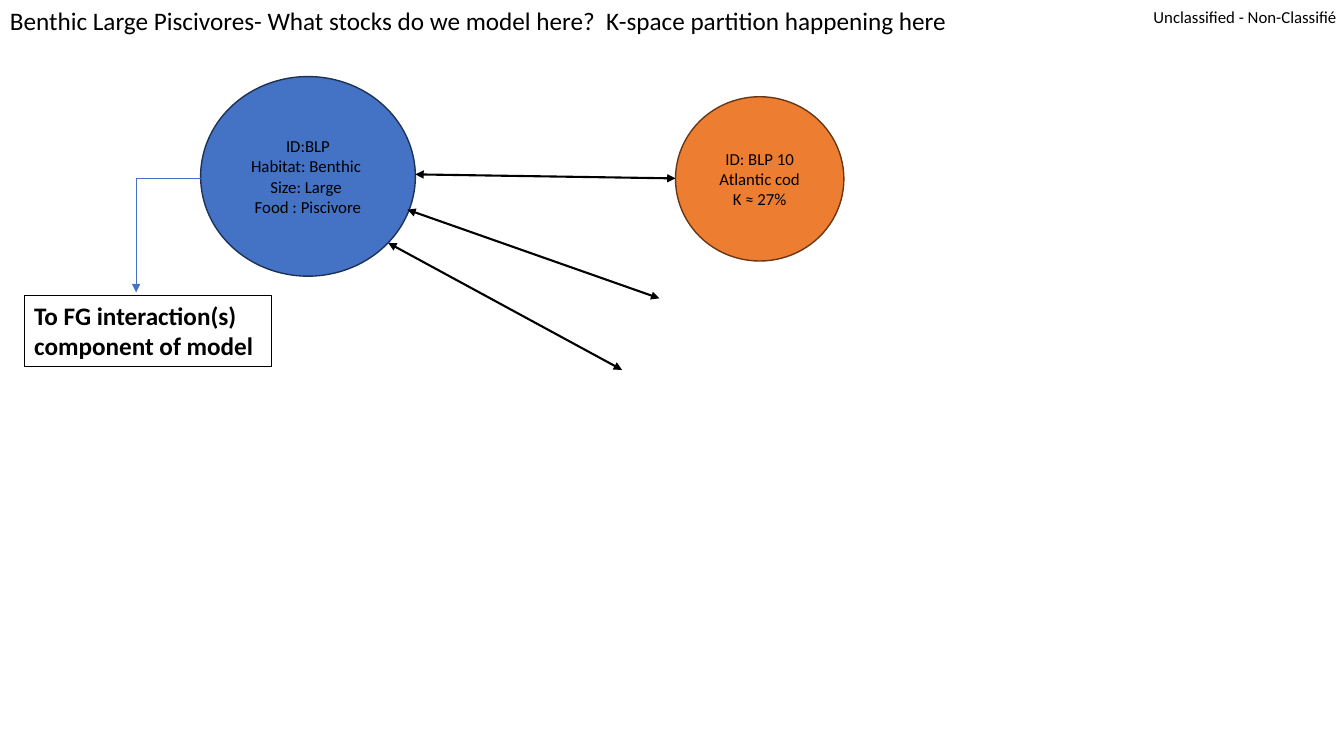
from lxml import etree
from pptx import Presentation
from pptx.dml.color import RGBColor
from pptx.enum.shapes import MSO_CONNECTOR, MSO_SHAPE
from pptx.enum.text import MSO_ANCHOR, PP_ALIGN
from pptx.oxml.ns import qn
from pptx.util import Inches, Pt

OVAL, RECT = MSO_SHAPE.OVAL, MSO_SHAPE.RECTANGLE
STRAIGHT, ELBOW = MSO_CONNECTOR.STRAIGHT, MSO_CONNECTOR.ELBOW
LEFT, CENTER = PP_ALIGN.LEFT, PP_ALIGN.CENTER
TOP, MIDDLE = MSO_ANCHOR.TOP, MSO_ANCHOR.MIDDLE
FONT = "Calibri"
BLACK, BLUE, ORANGE = "000000", "4472C4", "ED7D31"


def color(code):
    return RGBColor.from_string(code)


def write(shape, lines, size, align=LEFT, anchor=TOP, bold=False):
    frame = shape.text_frame
    frame.word_wrap = True
    frame.vertical_anchor = anchor
    for i, line in enumerate(lines):
        para = frame.add_paragraph() if i else frame.paragraphs[0]
        para.alignment = align
        run = para.add_run()
        run.text = line
        run.font.name = FONT
        run.font.size = Pt(size)
        run.font.bold = bold
        run.font.color.rgb = color(BLACK)


def add_text(slide, box, line, size):
    text = slide.shapes.add_textbox(*map(Inches, box))
    write(text, [line], size)
    return text


def add_node(slide, kind, box, edge, width, fill=None):
    node = slide.shapes.add_shape(kind, *map(Inches, box))
    node.shadow.inherit = False
    if fill:
        node.fill.solid()
        node.fill.fore_color.rgb = color(fill)
    else:
        node.fill.background()
    node.line.color.rgb = color(edge)
    node.line.width = Pt(width)
    return node


def add_link(slide, kind, start, end, hue, width, tips):
    """Draw a connector with triangles at the named tips."""
    link = slide.shapes.add_connector(kind, *map(Inches, (*start, *end)))
    link.line.color.rgb = color(hue)
    link.line.width = Pt(width)
    for tip in tips:
        etree.SubElement(link.line._get_or_add_ln(), qn(f"a:{tip}"), type="triangle")
    etree.SubElement(link._element.spPr, qn("a:effectLst"))
    return link


def add_drop(slide, start, end):
    """Draw an arrow that runs left, then down."""
    (x1, y1), (x2, y2) = start, end
    mid_x, mid_y = (x1 + x2) / 2, (y1 + y2) / 2
    half_w, half_h = (y2 - y1) / 2, (x1 - x2) / 2
    link = add_link(slide, ELBOW, (mid_x - half_w, mid_y - half_h),
                    (mid_x + half_w, mid_y + half_h), BLUE, 0.5, ["tailEnd"])
    props = link._element.spPr
    props.find(qn("a:xfrm")).set("rot", str(90 * 60000))
    guides = props.find(qn("a:prstGeom")).find(qn("a:avLst"))
    etree.SubElement(guides, qn("a:gd"), name="adj1", fmla="val 200")


def add_head(slide, width):
    mark = add_text(slide, (width - 1.89, 0.07, 1.86, 0.2),
                    "Unclassified - Non-Classifié", 12)
    frame = mark.text_frame
    frame.margin_left = frame.margin_right = 0
    frame.margin_top = frame.margin_bottom = 0
    add_text(slide, (0, 0, width, 0.4),
             "Benthic Large Piscivores- What stocks do we model here?  "
             "K-space partition happening here", 18)


def add_stocks(slide, x, y):
    """Draw the group, its stock and the links, from the group's top left."""
    group = add_node(slide, OVAL, (x, y, 2.13, 1.98), "1E3256", 1, BLUE)
    write(group, ["ID:BLP", "Habitat: Benthic ", "Size: Large ",
                  "Food : Piscivore"], 12, CENTER, MIDDLE)
    stock = add_node(slide, OVAL, (x + 4.71, y + 0.2, 1.67, 1.63), "683715", 1, ORANGE)
    write(stock, ["ID: BLP 10", "Atlantic cod", "K ≈ 27%"], 12, CENTER, MIDDLE)
    links = [((4.71, 1.01), (2.13, 0.97)),
             ((4.55, 2.2), (2.05, 1.32)),
             ((4.18, 2.91), (1.86, 1.65))]
    for (x1, y1), (x2, y2) in links:
        add_link(slide, STRAIGHT, (x + x1, y + y1), (x + x2, y + y2),
                 BLACK, 1.5, ["headEnd", "tailEnd"])


def add_exit(slide, x, y):
    """Draw the exit box and the arrow that leads down to it."""
    add_drop(slide, (x + 1.75, y - 1.16), (x + 1.11, y - 0.03))
    label = add_node(slide, RECT, (x, y, 2.45, 0.71), BLACK, 0.75)
    write(label, ["To FG interaction(s) component of model"], 18, bold=True)


def main():
    deck = Presentation()
    deck.slide_width, deck.slide_height = Inches(13.33), Inches(7.5)
    slide = deck.slides.add_slide(deck.slide_layouts[6])
    add_head(slide, 13.33)
    add_stocks(slide, 1.99, 0.76)
    add_exit(slide, 0.24, 2.93)
    deck.save("out.pptx")


if __name__ == "__main__":
    main()
